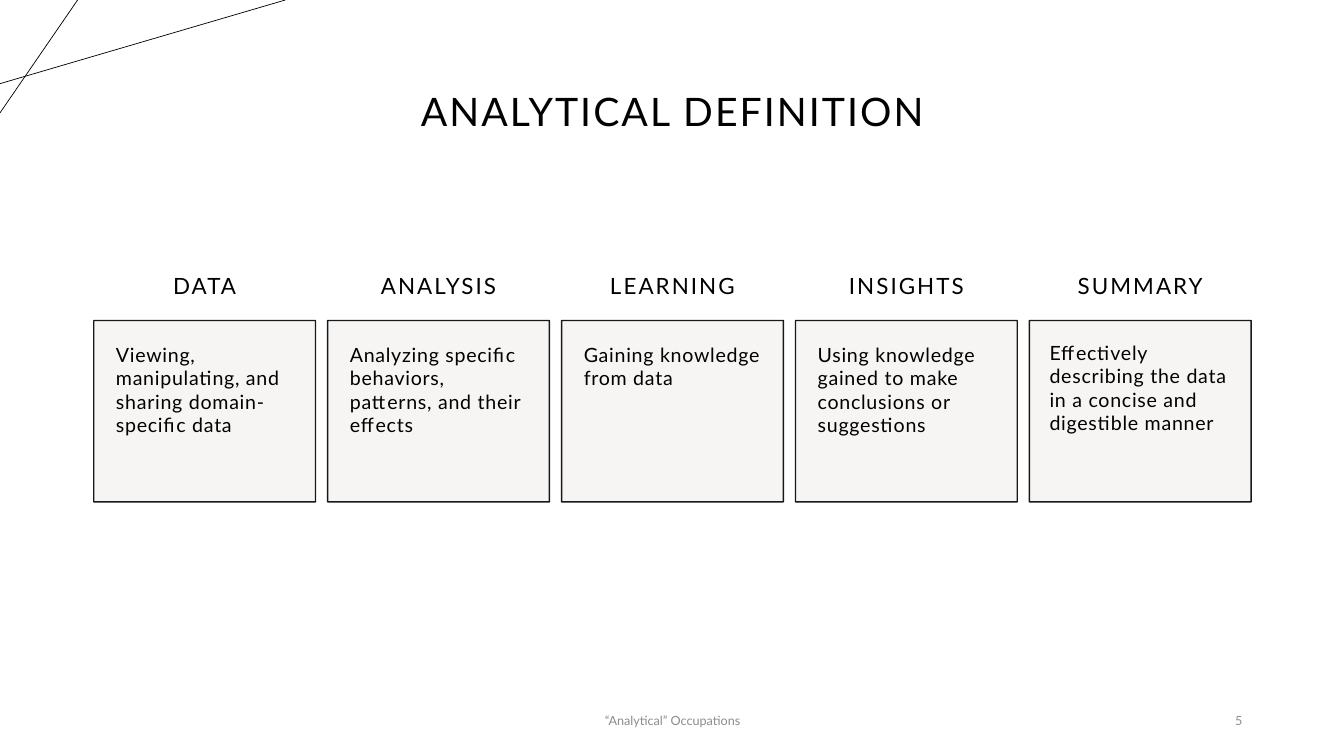
import pptx
import pptx.dml.color
import pptx.enum.shapes
import pptx.enum.text
import pptx.oxml.ns
import pptx.util
import lxml.etree

Inches, Pt = pptx.util.Inches, pptx.util.Pt
ALIGN, ANCHOR = pptx.enum.text.PP_ALIGN, pptx.enum.text.MSO_ANCHOR

THEME = {
    "font": "Lato",
    "ink": pptx.dml.color.RGBColor.from_string("000000"),
    "paper": pptx.dml.color.RGBColor.from_string("FFFFFF"),
    "card": pptx.dml.color.RGBColor.from_string("F7F5F3"),
    "muted": pptx.dml.color.RGBColor.from_string("8C8C8C"),
    "card_alpha": 90,
    "title": 28, "heading": 16, "body": 14, "footer": 9,
}
WIDTH, HEIGHT = 13.33, 7.5

deck = pptx.Presentation()
deck.slide_width, deck.slide_height = Inches(WIDTH), Inches(HEIGHT)
page = deck.slides.add_slide(deck.slide_layouts[6])


def write(box, text, size, color, align, anchor, tracking=0, inset=None, leading=None):
    """Set one run of text in a box; tracking is in points, inset in inches."""
    frame = box.text_frame
    frame.word_wrap = True
    frame.vertical_anchor = anchor
    if inset is not None:
        frame.margin_left = frame.margin_right = Inches(inset)
        frame.margin_top = frame.margin_bottom = Inches(inset)
    para = frame.paragraphs[0]
    para.alignment = align
    if leading:
        para.line_spacing = leading
    span = para.add_run()
    span.text = text
    span.font.name = THEME["font"]
    span.font.size = Pt(THEME[size])
    span.font.color.rgb = color
    if tracking:
        span.font._element.set("spc", str(int(tracking * 100)))


def add_panel(left, top, width, height, fill, line, alpha=100):
    """Add a flat rectangle whose fill and outline share one opacity."""
    panel = page.shapes.add_shape(
        pptx.enum.shapes.MSO_SHAPE.RECTANGLE,
        Inches(left), Inches(top), Inches(width), Inches(height))
    panel.shadow.inherit = False
    panel.fill.solid()
    panel.fill.fore_color.rgb = fill
    panel.line.color.rgb = line
    panel.line.width = Pt(1)
    if alpha < 100:
        for tint in panel._element.spPr.iter(pptx.oxml.ns.qn("a:srgbClr")):
            opacity = lxml.etree.SubElement(tint, pptx.oxml.ns.qn("a:alpha"))
            opacity.set("val", str(alpha * 1000))
    return panel


# Crossing lines in the top left corner
for x1, y1, x2, y2 in [(0, 0.83, 2.83, 0), (0.77, 0, 0, 1.12)]:
    stroke = page.shapes.add_connector(
        pptx.enum.shapes.MSO_CONNECTOR.STRAIGHT,
        Inches(x1), Inches(y1), Inches(x2), Inches(y2))
    stroke.line.color.rgb = THEME["ink"]
    stroke.line.width = Pt(0.5)
    lxml.etree.SubElement(stroke._element.spPr, pptx.oxml.ns.qn("a:effectLst"))

# Title
title = page.shapes.add_textbox(Inches(0.92), Inches(0.4), Inches(11.5), Inches(1.45))
write(title, "ANALYTICAL DEFINITION", "title", THEME["ink"],
      ALIGN.CENTER, ANCHOR.MIDDLE, tracking=1.5, leading=0.9)

# Five columns: a heading above a card
columns = [
    ("DATA", "Viewing, manipulating, and sharing domain-specific data", 0.22),
    ("ANALYSIS", "Analyzing specific behaviors, patterns, and their effects", 0.22),
    ("LEARNING", "Gaining knowledge from data", 0.22),
    ("INSIGHTS", "Using knowledge gained to make conclusions or suggestions", 0.22),
    ("SUMMARY", "Effectively describing the data in a concise and digestible manner", 0.2),
]
grid_left, grid_top = 0.93, 2.52
column_width, gap = 2.2, 0.12
heading_height, card_height = 0.66, 1.8
for index, (name, meaning, inset) in enumerate(columns):
    left = grid_left + index * (column_width + gap)
    heading = add_panel(left, grid_top, column_width, heading_height,
                        THEME["paper"], THEME["paper"])
    write(heading, name, "heading", THEME["ink"], ALIGN.CENTER, ANCHOR.MIDDLE,
          tracking=1.5, inset=0.17, leading=0.9)
    card = add_panel(left, grid_top + heading_height, column_width, card_height,
                     THEME["card"], THEME["ink"], THEME["card_alpha"])
    write(card, meaning, "body", THEME["ink"], ALIGN.LEFT, ANCHOR.TOP,
          tracking=0.5, inset=inset)

# Footer and page number
for left, width, text, align in [
    (4.42, 4.5, "“Analytical” Occupations", ALIGN.CENTER),
    (9.42, 3, "5", ALIGN.RIGHT),
]:
    footer = page.shapes.add_textbox(Inches(left), Inches(6.95), Inches(width), Inches(0.4))
    write(footer, text, "footer", THEME["muted"], align, ANCHOR.MIDDLE)

deck.save("out.pptx")
